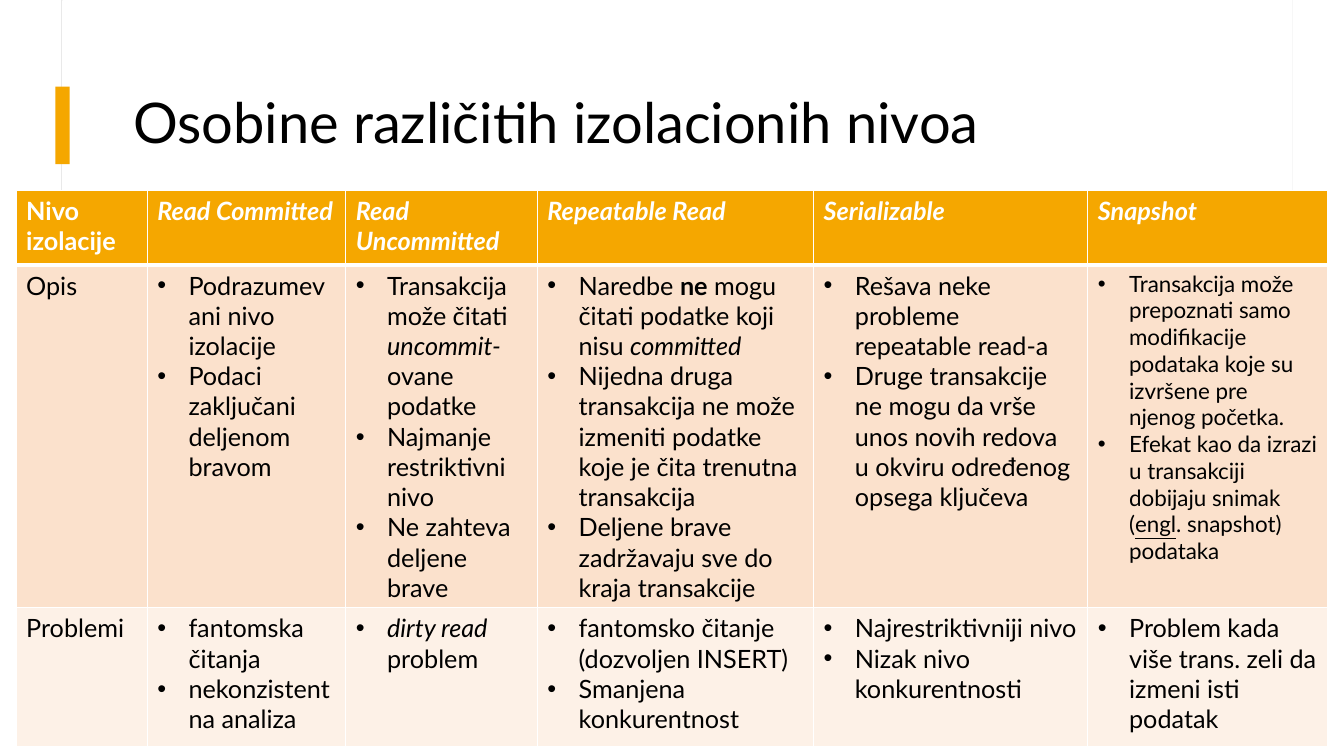
from pptx import Presentation
from pptx.dml.color import RGBColor
from pptx.enum import shapes, text
from pptx.oxml import parse_xml
from pptx.oxml.ns import nsdecls
from pptx.util import Pt

PX = 9144  # 100 px to the inch
THEME = {
    "font": "Lato", "ink": "000000", "white": "FFFFFF", "gold": "F5A700",
    "edge": "E9E9E9", "rows": ["F5A700", "FBE1CC", "FDF1E7"],
    "title": 40, "body": 18, "small": 16,
}
COLS = [130, 197, 190, 274, 272, 238]
ROWS = [74, 332, 138]

# Runs are split by "|"; a leading * is italic, # bold, _ underlined.
# A list is a bulleted cell, a plain string is a single paragraph.
CELLS = [
    ["Nivo izolacije", "*Read Committed", "*Read Uncommitted",
     "*Repeatable Read", "*Serializable", "*Snapshot"],
    ["Opis",
     ["Podrazumevani nivo izolacije", "Podaci zaključani deljenom bravom"],
     ["Transakcija može čitati |*uncommit-|ovane podatke",
      "Najmanje restriktivni nivo", "Ne zahteva deljene brave"],
     ["Naredbe |#ne| mogu čitati podatke koji nisu |*committed",
      "Nijedna druga transakcija ne može izmeniti podatke koje je čita trenutna transakcija",
      "Deljene brave zadržavaju sve do kraja transakcije"],
     ["Rešava neke probleme repeatable read-a",
      "Druge transakcije ne mogu da vrše unos novih redova u okviru određenog opsega ključeva"],
     ["Transakcija može prepoznati samo modifikacije podataka koje su izvršene pre njenog početka.",
      "Efekat kao da izrazi u transakciji dobijaju snimak (|_engl|. snapshot) podataka"]],
    ["Problemi",
     ["fantomska čitanja", "nekonzistentna analiza"],
     ["*dirty read| problem"],
     ["fantomsko čitanje (dozvoljen INSERT)", "Smanjena konkurentnost"],
     ["Najrestriktivniji nivo", "Nizak nivo konkurentnosti"],
     ["Problem kada više trans. zeli da izmeni isti podatak"]],
]


def style(font, size, color):
    font.name = THEME["font"]
    font.size = Pt(size)
    font.color.rgb = RGBColor.from_string(THEME[color])


def border(cell, side, width):
    cell.get_or_add_tcPr() if hasattr(cell, "get_or_add_tcPr") else None
    cell.append(parse_xml(
        f'<a:{side} {nsdecls("a")} w="{Pt(width)}"><a:solidFill>'
        f'<a:srgbClr val="{THEME["white"]}"/></a:solidFill></a:{side}>'))


deck = Presentation()
deck.slide_width, deck.slide_height = 1333 * PX, 750 * PX
slide = deck.slides.add_slide(deck.slide_layouts[5])

# Backdrop panel, its cover, and the accent bar
for box, fill, edge in [((61, 0, 1221, 221), "white", "edge"),
                        ((62, 0, 1220, 220), "white", None),
                        ((55, 86, 14, 77), "gold", None)]:
    panel = slide.shapes.add_shape(shapes.MSO_SHAPE.RECTANGLE, *[n * PX for n in box])
    panel.shadow.inherit = False
    panel.fill.solid()
    panel.fill.fore_color.rgb = RGBColor.from_string(THEME[fill])
    if edge:
        panel.line.color.rgb = RGBColor.from_string(THEME[edge])
        panel.line.width = Pt(0.75)
    else:
        panel.line.fill.background()

# Title, brought in front of the panel
title = slide.shapes.title
title.element.getparent().append(title.element)
title.left, title.top, title.width, title.height = [n * PX for n in (122, 60, 1112, 129)]
frame = title.text_frame
frame.text = "Osobine različitih izolacionih nivoa"
frame.word_wrap = True
frame.auto_size = text.MSO_AUTO_SIZE.NONE
frame.vertical_anchor = text.MSO_ANCHOR.MIDDLE
head = frame.paragraphs[0]
head.alignment = text.PP_ALIGN.LEFT
head.line_spacing = 0.9
style(head.runs[0].font, THEME["title"], "ink")

# Table of isolation levels
table = slide.shapes.add_table(
    len(ROWS), len(COLS), 16 * PX, 189 * PX, sum(COLS) * PX, sum(ROWS) * PX).table
for col, width in zip(table.columns, COLS):
    col.width = width * PX
for row, height in zip(table.rows, ROWS):
    row.height = height * PX

for r, line in enumerate(CELLS):
    for c, entry in enumerate(line):
        cell = table.cell(r, c)
        props = cell._tc.get_or_add_tcPr()
        for side in ["lnL", "lnR"] + (["lnT"] if r == 0 else []) + ["lnB"]:
            border(props, side, 3 if r == 0 and side == "lnB" else 1)
        cell.fill.solid()
        cell.fill.fore_color.rgb = RGBColor.from_string(THEME["rows"][r])
        size = THEME["small" if (r, c) == (1, 5) else "body"]
        listed = isinstance(entry, list)
        for i, item in enumerate(entry if listed else [entry]):
            frame = cell.text_frame
            para = frame.add_paragraph() if i else frame.paragraphs[0]
            if listed:
                ppr = para._p.get_or_add_pPr()
                ppr.set("marL", str(31 * PX))
                ppr.set("indent", str(-31 * PX))
                ppr.append(parse_xml(f'<a:buFont {nsdecls("a")} typeface="Arial"/>'))
                ppr.append(parse_xml(f'<a:buChar {nsdecls("a")} char="•"/>'))
            for part in item.split("|"):
                run = para.add_run()
                run.text = part.lstrip("*#_")
                style(run.font, size, "ink" if r else "white")
                run.font.bold = r == 0 or part[0] == "#"
                run.font.italic = part[0] == "*"
                run.font.underline = part[0] == "_"

deck.save("out.pptx")
